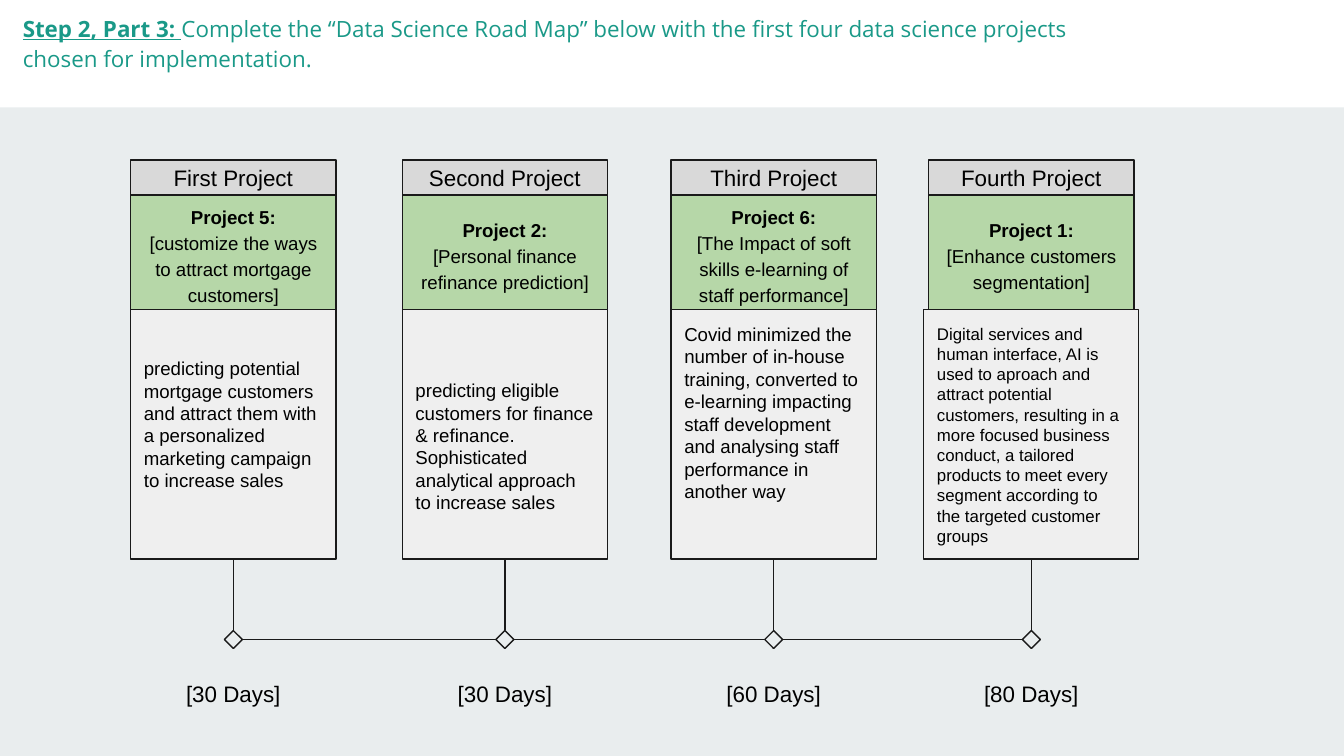
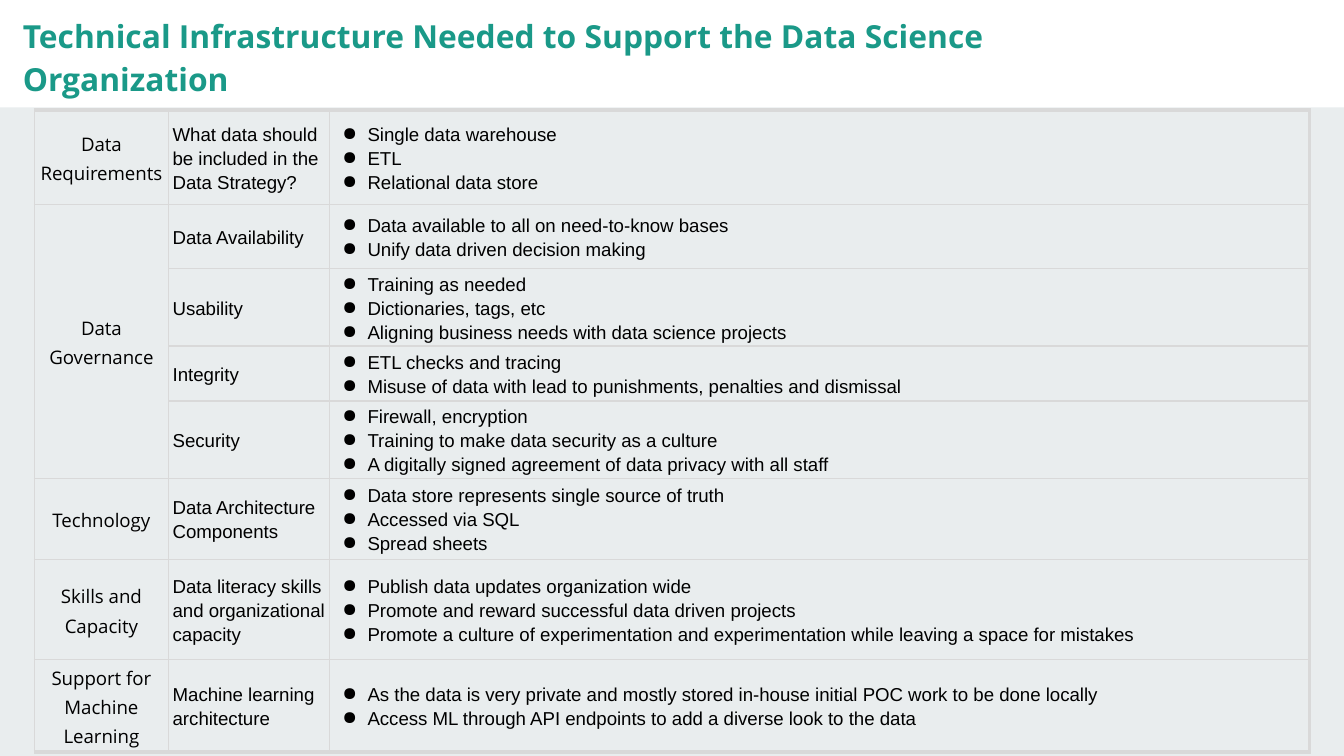
from lxml import etree
from pptx import Presentation
from pptx.dml.color import RGBColor
from pptx.enum.shapes import MSO_CONNECTOR as Line, MSO_SHAPE as Kind
from pptx.enum.text import MSO_ANCHOR as Anchor, MSO_AUTO_SIZE as Auto, PP_ALIGN as Align
from pptx.oxml.ns import qn
from pptx.util import Pt

HUES = {"back": "E9EDEE", "white": "FFFFFF", "teal": "1A9988", "ink": "000000",
        "line": "1A1A1A", "head": "D9D9D9", "name": "B6D7A8", "body": "EFEFEF",
        "rule": "D9D9D9"}
SANS, OPEN = "Arial", "Open Sans"
WIDE, HIGH, BAND = 720, 405, 57.6
PAD = 7.2
LEAD = 1.15

# Roadmap: heading, project, goal, days, left edge, goal style
# (size, anchor, top inset, bottom inset, extra width)
STEPS = [
    ("First Project", "Project 5:", "[customize the ways to attract mortgage customers]",
     "predicting potential mortgage customers and attract them with a personalized "
     "marketing campaign to increase sales",
     "[30 Days]", 70, (10, Anchor.MIDDLE, PAD, 18, 0)),
    ("Second Project", "Project 2:", "[Personal finance refinance prediction]",
     "predicting eligible customers for finance & refinance. Sophisticated analytical "
     "approach to increase sales",
     "[30 Days]", 215.5, (10, Anchor.MIDDLE, 20, PAD, 0)),
    ("Third Project", "Project 6:",
     "[The Impact of soft skills e-learning of staff performance]",
     "Covid minimized the number of in-house training, converted to e-learning impacting "
     "staff development and analysing staff performance in another way",
     "[60 Days]", 359.5, (10, Anchor.TOP, PAD, PAD, 0)),
    ("Fourth Project", "Project 1:", "[Enhance customers segmentation]",
     "Digital services and human interface, AI is used to aproach and attract potential "
     "customers, resulting in a more focused business conduct, a tailored products to meet "
     "every segment according to the targeted customer groups",
     "[80 Days]", 497.5, (9, Anchor.BOTTOM, PAD, PAD, 5.2)),
]

# Table: area, topic, points, row height; an empty area joins the one above
NEEDS = [
    ("Data Requirements", "What data should be included in the Data Strategy?",
     ["Single data warehouse", "ETL", "Relational data store"], 50.4),
    ("Data Governance", "Data Availability",
     ["Data available to all on need-to-know bases",
      "Unify data driven decision making"], 34.5),
    ("", "Usability",
     ["Training as needed", "Dictionaries, tags, etc",
      "Aligning business needs with data science projects"], 41.5),
    ("", "Integrity",
     ["ETL checks and tracing",
      "Misuse of data with lead to punishments, penalties and dismissal"], 29.5),
    ("", "Security",
     ["Firewall, encryption", "Training to make data security as a culture",
      "A digitally signed agreement of data privacy with all staff"], 41),
    ("Technology", "Data Architecture Components",
     ["Data store represents single source of truth", "Accessed via SQL",
      "Spread sheets"], 43.5),
    ("Skills and Capacity", "Data literacy skills and organizational capacity",
     ["Publish data updates organization wide",
      "Promote and reward successful data driven projects",
      "Promote a culture of experimentation and experimentation while leaving a space "
      "for mistakes"], 53.5),
    ("Support for Machine Learning", "Machine learning architecture",
     ["As the data is very private and mostly stored in-house initial POC work to be "
      "done locally",
      "Access ML through API endpoints to add a diverse look to the data"], 48),
]


def hue(name):
    return RGBColor.from_string(HUES[name])


def box(x, y, w, h):
    return Pt(x), Pt(y), Pt(w), Pt(h)


def add_run(para, text, size, font=SANS, tint="ink", bold=False, under=False):
    run = para.add_run()
    run.text = text
    face = run.font
    face.size, face.name, face.bold, face.underline = Pt(size), font, bold, under
    face.color.rgb = hue(tint)


def set_frame(frame, anchor=Anchor.TOP, top=PAD, low=PAD):
    frame.word_wrap = True
    frame.auto_size = Auto.NONE
    frame.vertical_anchor = anchor
    frame.margin_left = frame.margin_right = Pt(PAD)
    frame.margin_top, frame.margin_bottom = Pt(top), Pt(low)


def write(frame, lines, size, align=Align.LEFT, lead=None, font=SANS):
    """Write (text, bold) lines, one paragraph each."""
    for i, (text, bold) in enumerate(lines):
        para = frame.add_paragraph() if i else frame.paragraphs[0]
        para.alignment = align
        if lead:
            para.line_spacing = lead
        add_run(para, text, size, font, bold=bold)


def add_block(shapes, kind, area, fill, edge=True):
    block = shapes.add_shape(kind, *box(*area))
    block.shadow.inherit = False
    block.fill.solid()
    block.fill.fore_color.rgb = hue(fill)
    if edge:
        block.line.color.rgb = hue("line")
        block.line.width = Pt(0.75)
    else:
        block.line.fill.background()
    return block


def add_line(shapes, x1, y1, x2, y2):
    line = shapes.add_connector(Line.STRAIGHT, Pt(x1), Pt(y1), Pt(x2), Pt(y2))
    line.line.color.rgb = hue("line")
    line.line.width = Pt(0.75)
    etree.SubElement(line.element.spPr, qn("a:effectLst"))


def add_page(deck, parts, size):
    """Add a slide with the white band and a title made of (text, bold, under) runs."""
    slide = deck.slides.add_slide(deck.slide_layouts[5])
    title = slide.shapes.title
    band = add_block(slide.shapes, Kind.RECTANGLE, (0, 0, WIDE, BAND), "white", False)
    title.element.addprevious(band.element)
    title.left, title.top, title.width, title.height = box(5, -1.5, 607.5, 26.6)
    set_frame(title.text_frame)
    para = title.text_frame.paragraphs[0]
    para.alignment, para.line_spacing = Align.LEFT, LEAD
    for text, bold, under in parts:
        add_run(para, text, size, OPEN, "teal", bold, under)
    return slide


def add_step(shapes, step, x, y, w, axis):
    """One project card with its stem, diamond and days label."""
    head, name, brief, goal, days, _, (size, anchor, top, low, extra) = step
    mid, foot, gem = x + w / 2, y + 213.8, 9.6
    group = shapes.add_group_shape().shapes

    add_block(group, Kind.DIAMOND, (mid - gem / 2, axis - gem / 2, gem, gem), "back")

    card = add_block(group, Kind.RECTANGLE, (x, y + 18.7, w, 63.4), "name").text_frame
    set_frame(card, Anchor.MIDDLE)
    write(card, [(name, True), (brief, False)], 10, Align.CENTER, LEAD)

    card = add_block(group, Kind.RECTANGLE, (x, y, w, 18.7), "head").text_frame
    set_frame(card, Anchor.MIDDLE)
    write(card, [(head, False)], 12, Align.CENTER)

    area = (x - extra / 2, y + 80, w + extra, 133.8)
    card = add_block(group, Kind.RECTANGLE, area, "body").text_frame
    set_frame(card, anchor, top, low)
    write(card, [(goal, False)], size)

    add_line(shapes, mid, foot, mid, axis - gem / 2)
    label = shapes.add_textbox(*box(mid - 67, axis + 14.4, 134, 26.6)).text_frame
    set_frame(label)
    write(label, [(days, False)], 12, Align.CENTER)


def add_road(deck):
    slide = add_page(deck, [
        ("Step 2, Part 3: ", True, True),
        ("Complete the “Data Science Road Map” below with the first four data science "
         "projects chosen for implementation.", False, False)], 12)
    top, wide, axis = 85.8, 110, 342.6
    first, last = (STEPS[i][5] + wide / 2 for i in (0, -1))
    add_line(slide.shapes, first, axis, last, axis)
    for step in STEPS:
        add_step(slide.shapes, step, step[5], top, wide, axis)


def add_edges(cell, thick):
    """Rule all sides of a cell; the sides in thick get the heavy rule."""
    props = cell._tc.get_or_add_tcPr()
    for side in "LRTB":
        width = Pt(2.25 if side in thick else 0.75)
        edge = etree.SubElement(props, qn(f"a:ln{side}"), w=str(width))
        fill = etree.SubElement(edge, qn("a:solidFill"))
        etree.SubElement(fill, qn("a:srgbClr"), val=HUES["rule"])
    cell.fill.background()


def add_dots(frame):
    for para in frame.paragraphs:
        props = para._p.get_or_add_pPr()
        props.set("marL", str(Pt(18)))
        props.set("indent", str(Pt(-13.5)))
        tint = etree.SubElement(props, qn("a:buClr"))
        etree.SubElement(tint, qn("a:srgbClr"), val=HUES["ink"])
        etree.SubElement(props, qn("a:buChar"), char="●")


def add_grid(shapes, x, y, cols):
    tall = sum(need[3] for need in NEEDS)
    grid = shapes.add_table(len(NEEDS), len(cols), *box(x, y, sum(cols), tall)).table
    grid.first_row = grid.horz_banding = False
    for col, wide in zip(grid.columns, cols):
        col.width = Pt(wide)

    final = len(NEEDS) - 1
    for r, (area, topic, points, high) in enumerate(NEEDS):
        grid.rows[r].height = Pt(high)
        for c, lines in enumerate(([area], [topic], points)):
            cell = grid.cell(r, c)
            cell.vertical_anchor = Anchor.MIDDLE
            cell.margin_left = cell.margin_right = Pt(2.2)
            cell.margin_top = cell.margin_bottom = Pt(1.4)
            add_edges(cell, "T" * (r == 0) + "B" * (r == final) + "R" * (c == 2))
            if lines[0]:
                align, font = (Align.LEFT, SANS) if c else (Align.CENTER, OPEN)
                write(cell.text_frame, [(text, False) for text in lines], 10,
                      align, LEAD, font)
        add_dots(grid.cell(r, 2).text_frame)

    # Join each area with the empty cells below it
    starts = [r for r, need in enumerate(NEEDS) if need[0]] + [len(NEEDS)]
    for start, stop in zip(starts, starts[1:]):
        if stop - start > 1:
            grid.cell(start, 0).merge(grid.cell(stop - 1, 0))


def add_needs(deck):
    slide = add_page(deck, [
        ("Technical Infrastructure Needed to Support the Data Science Organization",
         True, False)], 17)
    add_grid(slide.shapes, 18.3, 59, (72, 86.4, 524.9))


def main():
    deck = Presentation()
    deck.slide_width, deck.slide_height = Pt(WIDE), Pt(HIGH)
    back = deck.slide_master.background.fill
    back.solid()
    back.fore_color.rgb = hue("back")
    add_road(deck)
    add_needs(deck)
    deck.save("out.pptx")


if __name__ == "__main__":
    main()
